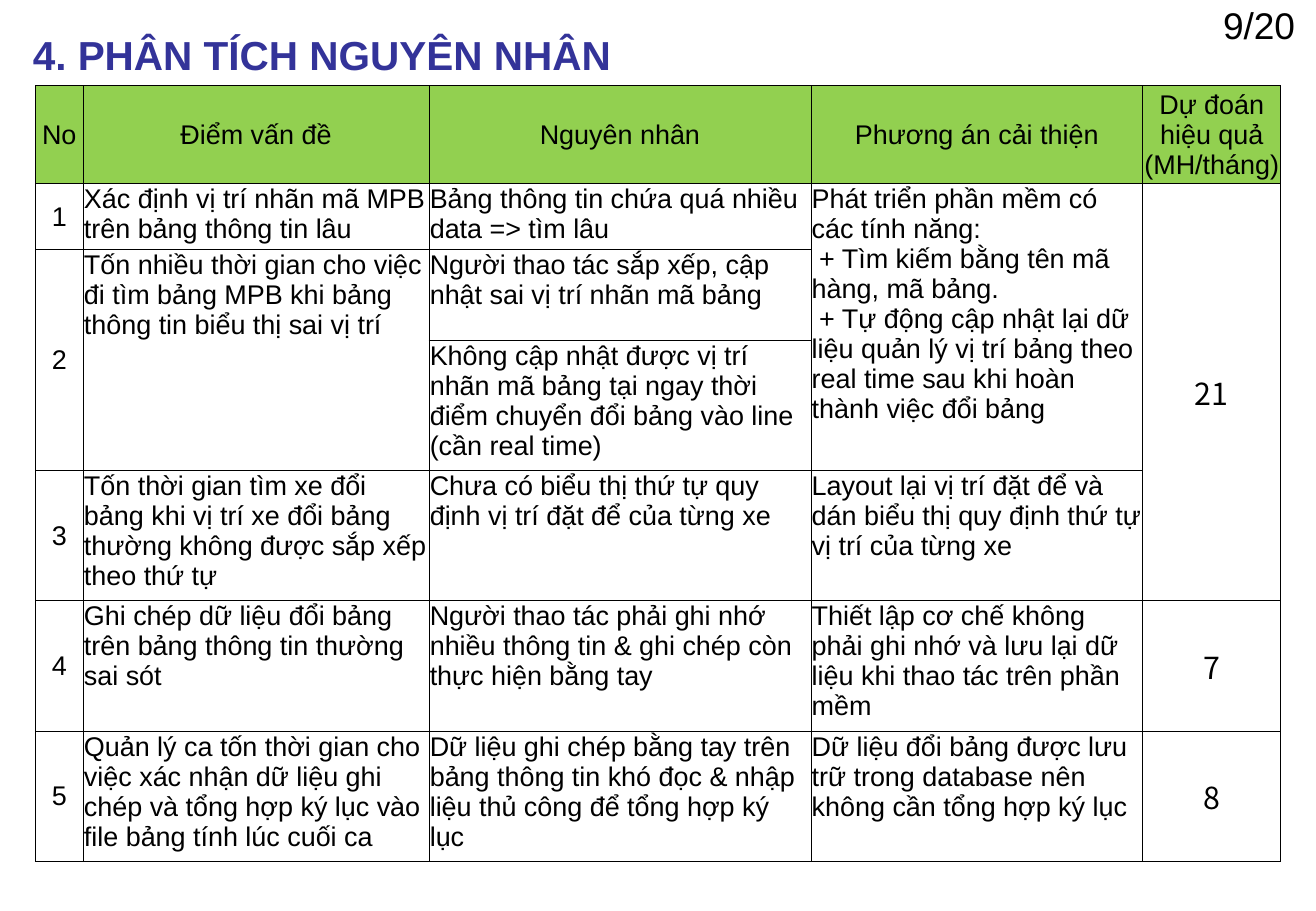
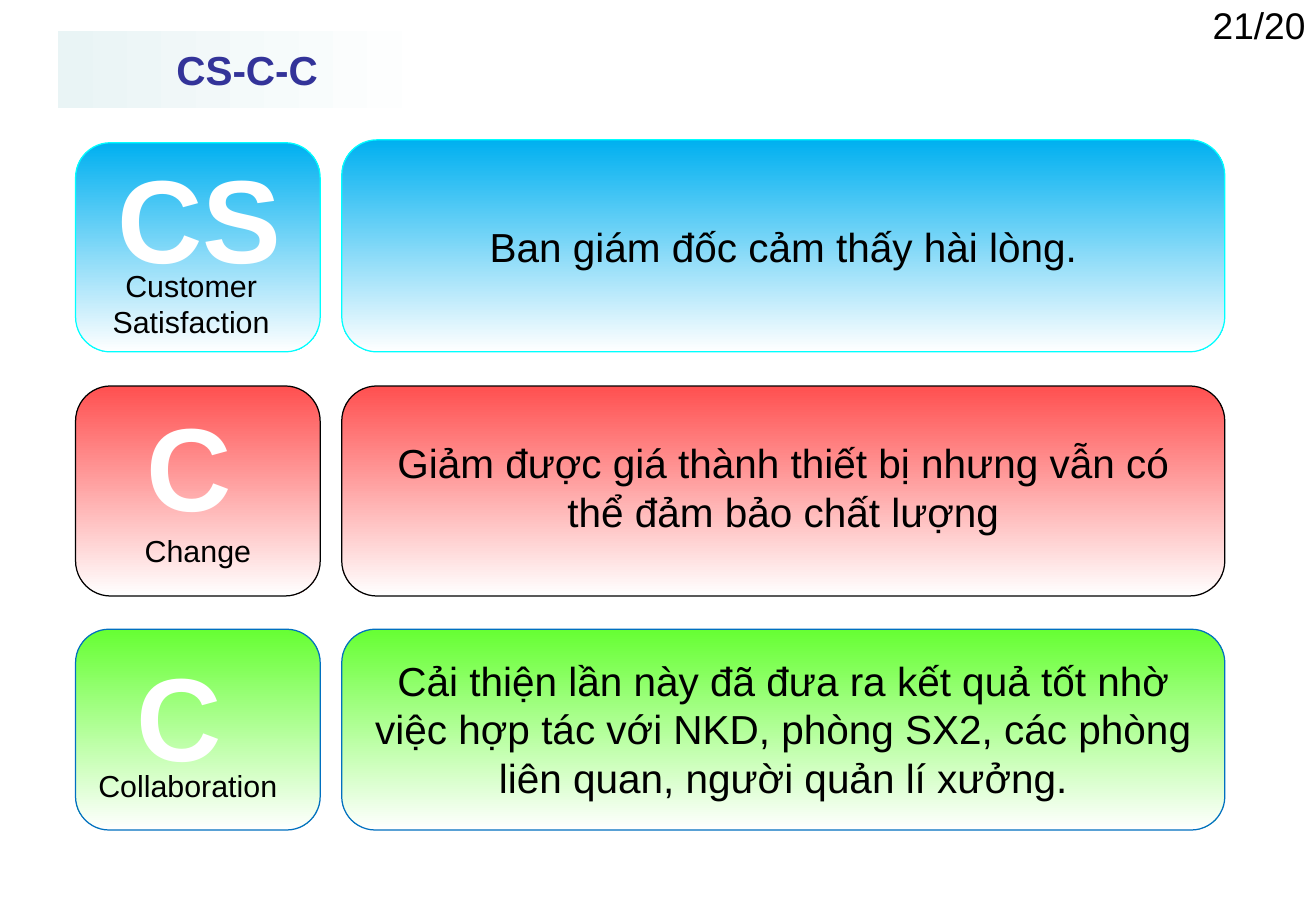
from dataclasses import dataclass

from lxml import etree
from pptx import Presentation
from pptx.dml.color import RGBColor
from pptx.enum.shapes import MSO_SHAPE
from pptx.enum.text import MSO_ANCHOR, MSO_AUTO_SIZE, PP_ALIGN
from pptx.oxml.ns import qn
from pptx.util import Pt

ROUNDED = MSO_SHAPE.ROUNDED_RECTANGLE
TOP, MIDDLE = MSO_ANCHOR.TOP, MSO_ANCHOR.MIDDLE
LEFT, CENTER = PP_ALIGN.LEFT, PP_ALIGN.CENTER
NO_FIT = MSO_AUTO_SIZE.NONE

BLACK = RGBColor(0x00, 0x00, 0x00)
WHITE = RGBColor(0xFF, 0xFF, 0xFF)
NAVY = RGBColor(0x33, 0x33, 0x99)
HEADER_GREEN = RGBColor(0x92, 0xD0, 0x50)
MIST = RGBColor(0xE9, 0xF4, 0xF5)
SKY = RGBColor(0x00, 0xB0, 0xF0)
CYAN = RGBColor(0x00, 0xFF, 0xFF)
CORAL = RGBColor(0xFF, 0x50, 0x50)
LIME = RGBColor(0x66, 0xFF, 0x33)
BLUE = RGBColor(0x00, 0x70, 0xC0)

BODY_FONT = "Arial"
FIGURE_FONT = "Noto Sans CJK JP"
TITLE_ONLY = 5


@dataclass
class Box:
    left: float
    top: float
    width: float
    height: float

    def points(self):
        return Pt(self.left), Pt(self.top), Pt(self.width), Pt(self.height)

    def inner(self, left, top, width, height):
        return Box(self.left + left, self.top + top, width, height)


PAGE = Box(0, 0, 780, 540)

COLUMN_WIDTHS = (28.3, 205, 226.4, 196.7, 81.8)
ROW_HEIGHTS = (58.2, 39, 54, 77, 77, 77.5, 77)
HEADINGS = ("No", "Điểm vấn đề", "Nguyên nhân", "Phương án cải thiện",
            "Dự đoán hiệu quả\n(MH/tháng)")
# None marks a cell covered by a merge; a tuple holds several paragraphs
CAUSES = (
    ("1", "Xác định vị trí nhãn mã MPB trên bảng thông tin lâu",
     "Bảng thông tin chứa quá nhiều data => tìm lâu",
     ("Phát triển phần mềm có các tính năng:",
      "+ Tìm kiếm bằng tên mã hàng, mã bảng.",
      "+ Tự động cập nhật lại dữ liệu quản lý vị trí bảng theo real time "
      "sau khi hoàn thành việc đổi bảng"), "21"),
    ("2", "Tốn nhiều thời gian cho việc đi tìm bảng MPB khi bảng thông tin "
     "biểu thị sai vị trí",
     "Người thao tác sắp xếp, cập nhật sai vị trí nhãn mã bảng", None, None),
    (None, None, "Không cập nhật được vị trí nhãn mã bảng tại ngay thời điểm "
     "chuyển đổi bảng vào line (cần real time)", None, None),
    ("3", "Tốn thời gian tìm xe đổi bảng khi vị trí xe đổi bảng thường không "
     "được sắp xếp theo thứ tự",
     "Chưa có biểu thị thứ tự quy định vị trí đặt để của từng xe",
     "Layout lại vị trí đặt để và dán biểu thị quy định thứ tự vị trí của "
     "từng xe", None),
    ("4", "Ghi chép dữ liệu đổi bảng trên bảng thông tin thường sai sót",
     "Người thao tác phải ghi nhớ nhiều thông tin & ghi chép còn thực hiện "
     "bằng tay",
     "Thiết lập cơ chế không phải ghi nhớ và lưu lại dữ liệu khi thao tác "
     "trên phần mềm", "7"),
    ("5", "Quản lý ca tốn thời gian cho việc xác nhận dữ liệu ghi chép và "
     "tổng hợp ký lục vào file bảng tính lúc cuối ca",
     "Dữ liệu ghi chép bằng tay trên bảng thông tin khó đọc & nhập liệu thủ "
     "công để tổng hợp ký lục",
     "Dữ liệu đổi bảng được lưu trữ trong database nên không cần tổng hợp "
     "ký lục", "8"),
)
# First and last cell of each merge, as (row, column)
MERGES = (((1, 3), (3, 3)), ((1, 4), (4, 4)), ((2, 0), (3, 0)), ((2, 1), (3, 1)))


@dataclass
class Value:
    letters: str
    caption: str
    message: str
    fill: RGBColor
    line: RGBColor
    height: float
    letters_at: tuple  # offsets from the badge corner
    caption_at: tuple
    panel_rise: float = 0  # how far the panel starts above the badge
    message_lift: float = 0  # how far the message sits above the middle


VALUES = (
    Value("CS", "Customer Satisfaction", "Ban giám đốc cảm thấy hài lòng.",
          SKY, CYAN, 124, (1, -2.5), (-4, 73.7), panel_rise=1.7),
    Value("C", "Change",
          "Giảm được giá thành thiết bị nhưng vẫn có thể đảm bảo chất lượng",
          CORAL, BLACK, 124.5, (-5, 0.5), (0, 86.5), message_lift=2.4),
    Value("C", "Collaboration",
          "Cải thiện lần này đã đưa ra kết quả tốt nhờ việc hợp tác với NKD, "
          "phòng SX2, các phòng liên quan, người quản lí xưởng.",
          LIME, BLUE, 119, (-11.2, 4.5), (-6, 82), message_lift=0.6),
)


# Shared helpers
def write(para, text, size, color=BLACK, bold=False, font=BODY_FONT, align=CENTER):
    para.alignment = align
    for index, line in enumerate(text.split("\n")):
        if index:
            para.add_line_break()
        span = para.add_run()
        span.text = line
        span.font.name, span.font.size, span.font.bold = font, Pt(size), bold
        span.font.color.rgb = color


def set_frame(frame, anchor=MIDDLE, side=7.2, edge=3.6):
    frame.word_wrap = True
    frame.auto_size = NO_FIT
    frame.vertical_anchor = anchor
    frame.margin_left = frame.margin_right = Pt(side)
    frame.margin_top = frame.margin_bottom = Pt(edge)
    return frame.paragraphs[0]


def add_text(page, box, text, size, color=BLACK, bold=False, **frame_options):
    frame = page.shapes.add_textbox(*box.points()).text_frame
    write(set_frame(frame, **frame_options), text, size, color, bold)


def fill_gradient(shape, start, end, angle):
    shape.fill.gradient()
    shape.fill.gradient_angle = angle
    for stop, color in zip(shape.fill.gradient_stops, (start, end)):
        stop.color.rgb = color


def add_page(deck, title, title_box, counter):
    page = deck.slides.add_slide(deck.slide_layouts[TITLE_ONLY])
    heading = page.shapes.title
    heading.left, heading.top, heading.width, heading.height = title_box.points()
    write(set_frame(heading.text_frame), title, 24, NAVY, True)
    add_text(page, Box(711.8, 0, 69, 29), counter, 22, side=0, edge=0)
    return page


# Cause table
def border_cell(cell):
    properties = cell._tc.get_or_add_tcPr()
    for index, side in enumerate(("lnL", "lnR", "lnT", "lnB")):
        line = etree.Element(qn(f"a:{side}"), w=str(Pt(0.5)))
        paint = etree.SubElement(line, qn("a:solidFill"))
        etree.SubElement(paint, qn("a:srgbClr"), val=str(BLACK))
        properties.insert(index, line)


def fill_cell(cell, content, row, column):
    centered = row == 0 or column in (0, 4)
    figure = row > 0 and column == 4
    cell.margin_left = cell.margin_right = cell.margin_top = Pt(0.5)
    cell.margin_bottom = 0
    cell.vertical_anchor = MIDDLE if centered else TOP
    if row == 0:
        cell.fill.solid()
        cell.fill.fore_color.rgb = HEADER_GREEN
    else:
        cell.fill.background()
    border_cell(cell)
    if content is None:
        return
    lines = content if isinstance(content, tuple) else (content,)
    for index, line in enumerate(lines):
        para = cell.text_frame.paragraphs[0] if index == 0 else cell.text_frame.add_paragraph()
        if index:
            para._p.get_or_add_pPr().set("indent", str(Pt(4.45)))
        write(para, line, 18 if figure else 16,
              font=FIGURE_FONT if figure else BODY_FONT,
              align=CENTER if centered else LEFT)


def add_cause_table(page, box):
    rows = (HEADINGS,) + CAUSES
    table = page.shapes.add_table(len(rows), len(HEADINGS), *box.points()).table
    table.first_row = table.horz_banding = False
    for column, width in zip(table.columns, COLUMN_WIDTHS):
        column.width = Pt(width)
    for row, height in zip(table.rows, ROW_HEIGHTS):
        row.height = Pt(height)
    for row, contents in enumerate(rows):
        for column, content in enumerate(contents):
            fill_cell(table.cell(row, column), content, row, column)
    for first, last in MERGES:
        table.cell(*first).merge(table.cell(*last))


# Value bands
def add_panel(page, box, value):
    panel = page.shapes.add_shape(ROUNDED, *box.points())
    panel.shadow.inherit = False
    fill_gradient(panel, value.fill, WHITE, 270)
    panel.line.color.rgb = value.line
    panel.line.width = Pt(0.75)
    return panel


def add_value_band(page, box, value):
    badge = box.inner(0, 0, 145, box.height)
    add_panel(page, badge, value)
    rise = value.panel_rise
    panel = add_panel(page, box.inner(157.8, -rise, box.width - 157.8, box.height + rise), value)
    write(set_frame(panel.text_frame, side=10.8), value.message, 24)
    panel.text_frame.margin_bottom = Pt(3.6 + 2 * value.message_lift)
    add_text(page, badge.inner(*value.letters_at, 145, 92), value.letters, 70, WHITE, True)
    add_text(page, badge.inner(*value.caption_at, 145, 44), value.caption, 18,
             anchor=TOP, side=0, edge=0)


def build_causes_page(deck):
    page = add_page(deck, "4. PHÂN TÍCH NGUYÊN NHÂN", Box(-4.2, 14.4, 390, 36), "9/20")
    add_cause_table(page, Box(21, 50.8, sum(COLUMN_WIDTHS), sum(ROW_HEIGHTS)))


def build_values_page(deck):
    page = add_page(deck, "CS-C-C", Box(34.5, 18.4, 224, 45.5), "21/20")
    fill_gradient(page.shapes.title, WHITE, MIST, 180)
    for index, value in enumerate(VALUES):
        add_value_band(page, Box(44.8, 84.6 + 144.2 * index, 681.2, value.height), value)


def main():
    deck = Presentation()
    deck.slide_width, deck.slide_height = Pt(PAGE.width), Pt(PAGE.height)
    build_causes_page(deck)
    build_values_page(deck)
    deck.save("out.pptx")


if __name__ == "__main__":
    main()
